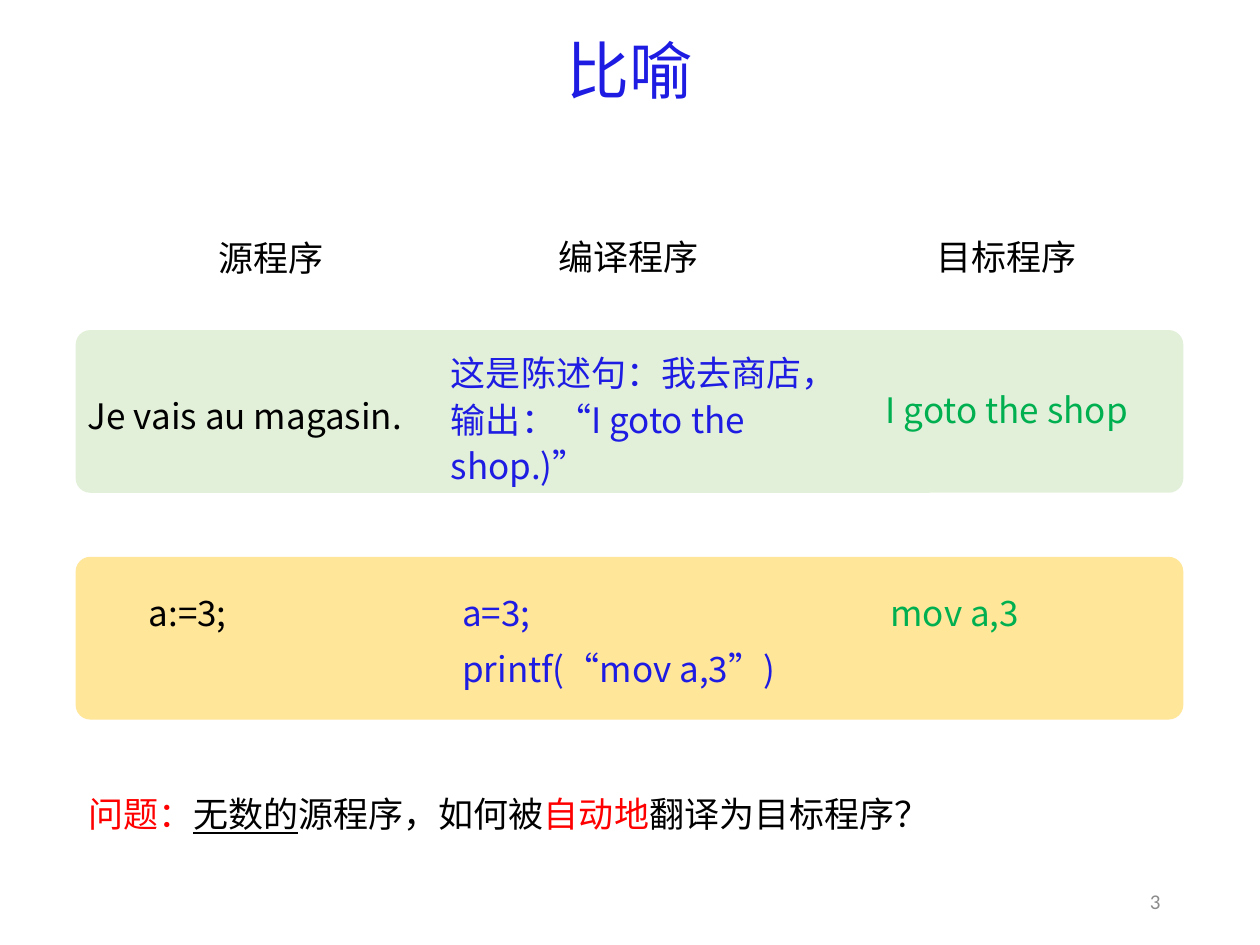
from lxml.etree import SubElement
from pptx import Presentation
from pptx.dml.color import RGBColor
from pptx.enum.shapes import MSO_SHAPE
from pptx.enum.text import MSO_ANCHOR, MSO_AUTO_SIZE, PP_ALIGN
from pptx.oxml.ns import qn
from pptx.util import Pt

BLACK = RGBColor(0x00, 0x00, 0x00)
BLUE = RGBColor(0x1E, 0x1C, 0xE3)
GREEN = RGBColor(0x00, 0xB0, 0x50)
RED = RGBColor(0xFF, 0x00, 0x00)
GREY = RGBColor(0x8C, 0x8C, 0x8C)
PALE_GREEN = RGBColor(0xE2, 0xF0, 0xD9)
PALE_YELLOW = RGBColor(0xFF, 0xE6, 0x99)

LEFT, CENTER, RIGHT = PP_ALIGN.LEFT, PP_ALIGN.CENTER, PP_ALIGN.RIGHT
FONT = "Noto Sans CJK SC"
BODY = {"line_spacing": 1.1, "space_after": Pt(6)}

TITLE = [[("比喻", BLUE)]]
TITLE_BOX = (49.7, 15.1, 620.6, 54)
HEADER_TOP, HEADER_HEIGHT = 128.9, 33.5
HEADERS = [("源程序", 116.6, 77), ("编译程序", 308.2, 102.2), ("目标程序", 524.2, 102.2)]
BAND_LEFT, BAND_WIDTH, BAND_HEIGHT = 43.2, 633, 93
BANDS = [
    (188.6, PALE_GREEN, [
        (["Je vais au magasin."], BLACK, LEFT, (43.2, 219.6, 208.8, 28)),
        (["这是陈述句：我去商店，输出：“I goto the shop.)”"], BLUE, LEFT, (250.6, 195.1, 236.2, 77.8)),
        (["I goto the shop"], GREEN, CENTER, (478.8, 216, 193, 27.4)),
    ]),
    (318.2, PALE_YELLOW, [
        (["a:=3;"], BLACK, LEFT, (77.8, 331.9, 111.6, 31)),
        (["a=3;", "printf(“mov a,3”)"], BLUE, LEFT, (257, 331.9, 223.2, 63.4)),
        (["mov a,3"], GREEN, LEFT, (501.8, 331.9, 115.2, 31)),
    ]),
]
QUESTION = [[
    ("问题：", RED),
    ("无数的", BLACK, True),
    ("源程序，如何被", BLACK),
    ("自动地", RED),
    ("翻译为目标程序？", BLACK),
]]
QUESTION_BOX = (43.2, 447.1, 498.2, 37.4)
NUMBER = [[("3", GREY)]]
NUMBER_BOX = (508.3, 500.4, 162, 28.8)


def apply(target, values):
    for name, value in values.items():
        setattr(target, name, value)


def write(sp, box, paragraphs, align=LEFT, size=20, font=FONT, anchor=MSO_ANCHOR.TOP, fmt=BODY):
    apply(sp, dict(zip(("left", "top", "width", "height"), map(Pt, box))))
    tf = sp.text_frame
    apply(tf, {"word_wrap": True, "auto_size": MSO_AUTO_SIZE.NONE, "vertical_anchor": anchor})
    for i, runs in enumerate(paragraphs):
        p = tf.add_paragraph() if i else tf.paragraphs[0]
        pPr = p._p.get_or_add_pPr()
        pPr.set("marL", "0")
        pPr.set("indent", "0")
        SubElement(pPr, qn("a:buNone"))
        apply(p, {"alignment": align, "space_before": Pt(0), **fmt})
        for text, color, *underline in runs:
            r = p.add_run()
            r.text = text
            apply(r.font, {"size": Pt(size), "name": font, "underline": bool(underline)})
            r.font.color.rgb = color
            SubElement(r._r.get_or_add_rPr(), qn("a:ea")).set("typeface", font)


def add_text(s, box, paragraphs, **options):
    write(s.shapes.add_textbox(*map(Pt, box)), box, paragraphs, **options)


def add_band(s, top, color):
    box = (BAND_LEFT, top, BAND_WIDTH, BAND_HEIGHT)
    sp = s.shapes.add_shape(MSO_SHAPE.ROUNDED_RECTANGLE, *map(Pt, box))
    sp.adjustments[0] = 0.09
    sp.shadow.inherit = False
    sp.fill.solid()
    sp.fill.fore_color.rgb = color
    sp.line.fill.background()


def main():
    prs = Presentation()
    apply(prs, {"slide_width": Pt(720), "slide_height": Pt(540)})
    s = prs.slides.add_slide(prs.slide_layouts[1])
    write(s.shapes.title, TITLE_BOX, TITLE, align=CENTER, size=36, font="Noto Sans CJK JP",
          anchor=MSO_ANCHOR.MIDDLE, fmt={"line_spacing": 0.9})

    for i, (text, left, width) in enumerate(HEADERS):
        box = (left, HEADER_TOP, width, HEADER_HEIGHT)
        add = add_text if i else lambda s, *args, **kw: write(s.placeholders[1], *args, **kw)
        add(s, box, [[(text, BLACK)]], align=CENTER)

    for top, fill, cells in BANDS:
        add_band(s, top, fill)
        for lines, color, align, box in cells:
            add_text(s, box, [[(line, color)] for line in lines], align=align)

    add_text(s, QUESTION_BOX, QUESTION)
    add_text(s, NUMBER_BOX, NUMBER, align=RIGHT, size=12, font="Calibri",
             anchor=MSO_ANCHOR.MIDDLE, fmt={})
    prs.save("out.pptx")


if __name__ == "__main__":
    main()
